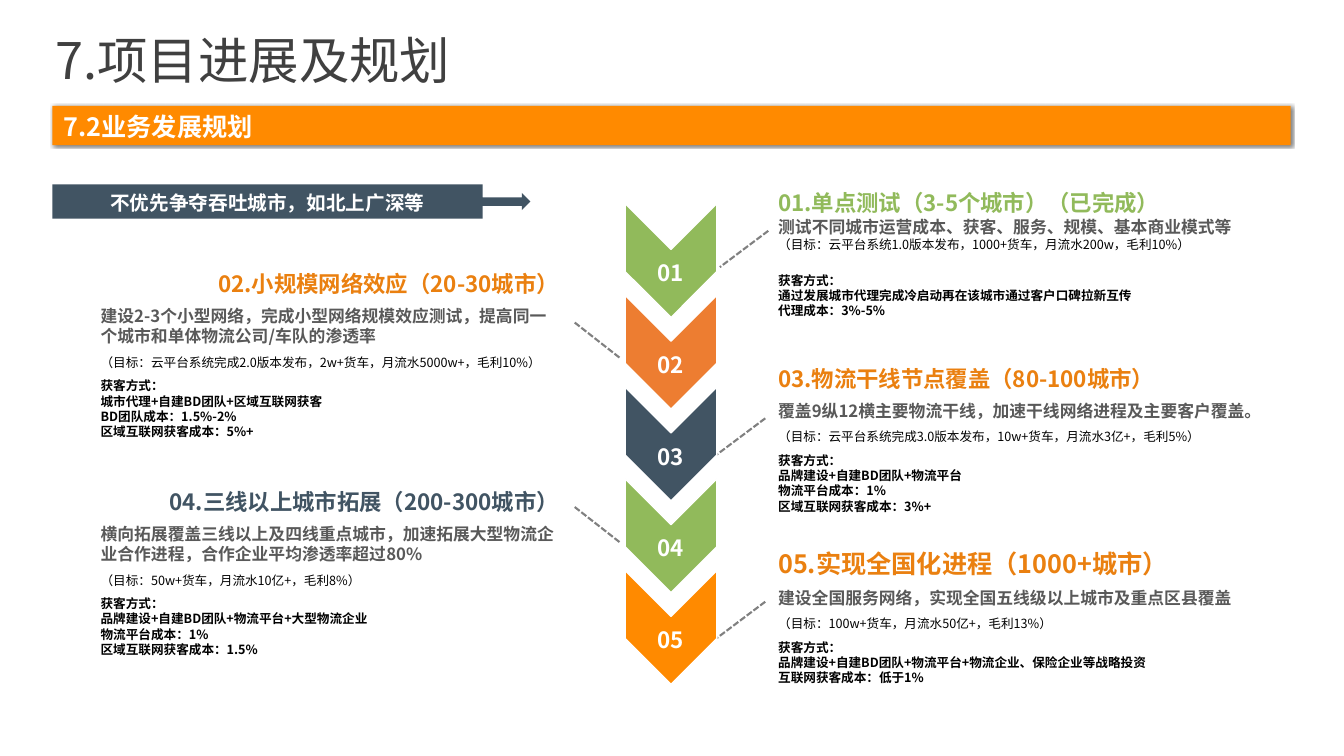
from dataclasses import dataclass

from lxml import etree
from pptx import Presentation
from pptx.dml.color import RGBColor
from pptx.enum.dml import MSO_LINE_DASH_STYLE as DASH
from pptx.enum.shapes import MSO_CONNECTOR, MSO_SHAPE
from pptx.enum.text import MSO_ANCHOR, PP_ALIGN
from pptx.oxml import parse_xml
from pptx.oxml.ns import nsdecls, qn
from pptx.util import Inches, Pt


@dataclass(frozen=True)
class Theme:
    font: str = "Noto Sans CJK SC"
    white: str = "FFFFFF"
    black: str = "000000"
    title: str = "404040"
    body: str = "595959"
    dash: str = "808080"
    amber: str = "FF8A00"
    heading: str = "EA8010"
    orange: str = "ED7D31"
    green: str = "91BA5B"
    slate: str = "415463"
    title_size: int = 36
    bar_size: int = 18
    callout_size: int = 14
    heading_size: int = 16
    large_heading_size: int = 18
    body_size: int = 12
    detail_size: int = 9
    leading: float = 1.21


T = Theme()

STAGES = [
    dict(
        box=(7.62, 1.83, 4.92, 1.43), color=T.green, after=0, detail_before=14.5,
        heading="01.单点测试（3-5个城市）（已完成）",
        body="测试不同城市运营成本、获客、服务、规模、基本商业模式等",
        goal="（目标：云平台系统1.0版本发布，1000+货车，月流水200w，毛利10%）",
        details=["通过发展城市代理完成冷启动再在该城市通过客户口碑拉新互传",
                 "代理成本：3%-5%"],
    ),
    dict(
        box=(0.9, 2.63, 4.74, 1.78), color=T.heading, align=PP_ALIGN.RIGHT,
        heading="02.小规模网络效应（20-30城市）",
        body="建设2-3个小型网络，完成小型网络规模效应测试，提高同一个城市和单体物流公司/车队的渗透率",
        goal="（目标：云平台系统完成2.0版本发布，2w+货车，月流水5000w+，毛利10%）",
        details=["城市代理+自建BD团队+区域互联网获客",
                 "BD团队成本：1.5%-2%",
                 "区域互联网获客成本：5%+"],
    ),
    dict(
        box=(7.62, 3.57, 4.93, 1.58), color=T.heading,
        heading="03.物流干线节点覆盖（80-100城市）",
        body="覆盖9纵12横主要物流干线，加速干线网络进程及主要客户覆盖。",
        goal="（目标：云平台系统完成3.0版本发布，10w+货车，月流水3亿+，毛利5%）",
        details=["品牌建设+自建BD团队+物流平台",
                 "物流平台成本：1%",
                 "区域互联网获客成本：3%+"],
    ),
    dict(
        box=(0.9, 4.79, 4.74, 1.85), color=T.slate, align=PP_ALIGN.RIGHT,
        heading="04.三线以上城市拓展（200-300城市）",
        body="横向拓展覆盖三线以上及四线重点城市，加速拓展大型物流企业合作进程，合作企业平均渗透率超过80%",
        goal="（目标：50w+货车，月流水10亿+，毛利8%）",
        details=["品牌建设+自建BD团队+物流平台+大型物流企业",
                 "物流平台成本：1%",
                 "区域互联网获客成本：1.5%"],
    ),
    dict(
        box=(7.62, 5.39, 4.93, 1.46), color=T.heading, size=T.large_heading_size,
        heading="05.实现全国化进程（1000+城市）",
        body="建设全国服务网络，实现全国五线级以上城市及重点区县覆盖",
        goal="（目标：100w+货车，月流水50亿+，毛利13%）",
        details=["品牌建设+自建BD团队+物流平台+物流企业、保险企业等战略投资",
                 "互联网获客成本：低于1%"],
    ),
]

CHEVRON_COLORS = [T.green, T.orange, T.slate, T.green, T.amber]
CHEVRON_TOP, CHEVRON_STEP = 2.13, 0.91
LEADERS = [(7.62, 2.29, -0.48), (5.7, 3.2, 0.46), (7.59, 4.15, -0.48),
           (5.7, 5.03, 0.46), (7.59, 5.97, -0.48)]
LEADER_DROP = 0.36


def rgb(color):
    return RGBColor.from_string(color)


def inches(box):
    return [Inches(v) for v in box]


def write(p, text, size, color, bold=True, **paragraph_format):
    for name, value in paragraph_format.items():
        setattr(p, name, value)
    r = p.add_run()
    r.text = text
    for name, value in dict(name=T.font, size=Pt(size), bold=bold).items():
        setattr(r.font, name, value)
    r.font.color.rgb = rgb(color)
    ea = etree.SubElement(r.font._element, qn("a:ea"))
    ea.set("typeface", T.font)


def add_text(slide, box, anchor=MSO_ANCHOR.TOP, inset=True):
    tf = slide.shapes.add_textbox(*inches(box)).text_frame
    tf.word_wrap = True
    tf.vertical_anchor = anchor
    if not inset:
        for side in ("left", "top", "right", "bottom"):
            setattr(tf, f"margin_{side}", 0)
    return tf


def add_block(slide, kind, box, fill, line=None):
    sp = slide.shapes.add_shape(kind, *inches(box))
    sp.shadow.inherit = False
    sp.fill.solid()
    sp.fill.fore_color.rgb = rgb(fill)
    if line:
        sp.line.color.rgb = rgb(line)
        sp.line.width = Pt(1)
    else:
        sp.line.fill.background()
    return sp


def add_bar_shadow(sp):
    effects = sp._element.spPr.find(qn("a:effectLst"))
    effects.append(parse_xml(
        f'<a:outerShdw {nsdecls("a")} blurRad="{Pt(2)}" dist="{Pt(1)}" dir="2700000" '
        f'algn="tl" rotWithShape="0"><a:srgbClr val="{T.black}">'
        '<a:alpha val="50000"/></a:srgbClr></a:outerShdw>'))


def add_header(slide):
    add_bar_shadow(add_block(slide, MSO_SHAPE.RECTANGLE, (0.52, 1.05, 12.28, 0.39), T.amber))
    tf = add_text(slide, (0.55, 0.35, 12.26, 0.59), MSO_ANCHOR.MIDDLE, inset=False)
    write(tf.paragraphs[0], "7.项目进展及规划", T.title_size, T.title, bold=False,
          line_spacing=Pt(35))
    tf = add_text(slide, (0.63, 1.1, 11.69, 0.3), MSO_ANCHOR.MIDDLE, inset=False)
    write(tf.paragraphs[0], "7.2业务发展规划", T.bar_size, T.white)


def add_callout(slide):
    sp = add_block(slide, MSO_SHAPE.RIGHT_ARROW_CALLOUT, (0.52, 1.83, 4.74, 0.34), T.slate)
    for i, value in enumerate((0.25, 0.25, 0.25, 0.9)):
        sp.adjustments[i] = value
    tf = sp.text_frame
    tf.word_wrap = True
    tf.vertical_anchor = MSO_ANCHOR.MIDDLE
    write(tf.paragraphs[0], "不优先争夺吞吐城市，如北上广深等", T.callout_size, T.white,
          alignment=PP_ALIGN.CENTER, line_spacing=1.1)


def add_stage(slide, box, color, heading, body, goal, details, size=T.heading_size,
              align=PP_ALIGN.LEFT, after=6, detail_before=0):
    tf = add_text(slide, box)
    rows = [
        (heading, size, color, True, dict(alignment=align, space_after=Pt(after))),
        (body, T.body_size, T.body, True, dict(space_after=Pt(after))),
        (goal, T.detail_size, T.black, False, dict(space_after=Pt(after))),
        ("获客方式：", T.detail_size, T.black, True, dict(space_before=Pt(detail_before))),
    ]
    rows += [(text, T.detail_size, T.black, True, {}) for text in details]
    for i, (text, points, ink, bold, layout) in enumerate(rows):
        p = tf.add_paragraph() if i else tf.paragraphs[0]
        write(p, text, points, ink, bold, line_spacing=Pt(points * T.leading), **layout)


def add_chevron(slide, i, color):
    top = CHEVRON_TOP + i * CHEVRON_STEP
    sp = add_block(slide, MSO_SHAPE.CHEVRON, (6.09, top, 1.13, 0.91), color, T.white)
    sp.rotation = 90
    tf = add_text(slide, (6.2, top + 0.38, 0.9, 0.39), MSO_ANCHOR.MIDDLE)
    write(tf.paragraphs[0], f"{i + 1:02}", T.heading_size, T.white, alignment=PP_ALIGN.CENTER)


def add_leader(slide, x, y, run):
    line = slide.shapes.add_connector(
        MSO_CONNECTOR.STRAIGHT, *inches((x, y, x + run, y + LEADER_DROP)))
    line.line.color.rgb = rgb(T.dash)
    line.line.width = Pt(1.5)
    line.line.dash_style = DASH.SQUARE_DOT
    etree.SubElement(line._element.spPr, qn("a:effectLst"))


def main():
    prs = Presentation()
    prs.slide_width, prs.slide_height = Inches(13.33), Inches(7.5)
    slide = prs.slides.add_slide(prs.slide_layouts[6])
    add_header(slide)
    add_callout(slide)
    for stage in STAGES:
        add_stage(slide, **stage)
    for leader in LEADERS:
        add_leader(slide, *leader)
    for i, color in reversed(list(enumerate(CHEVRON_COLORS))):
        add_chevron(slide, i, color)
    prs.save("out.pptx")


if __name__ == "__main__":
    main()
